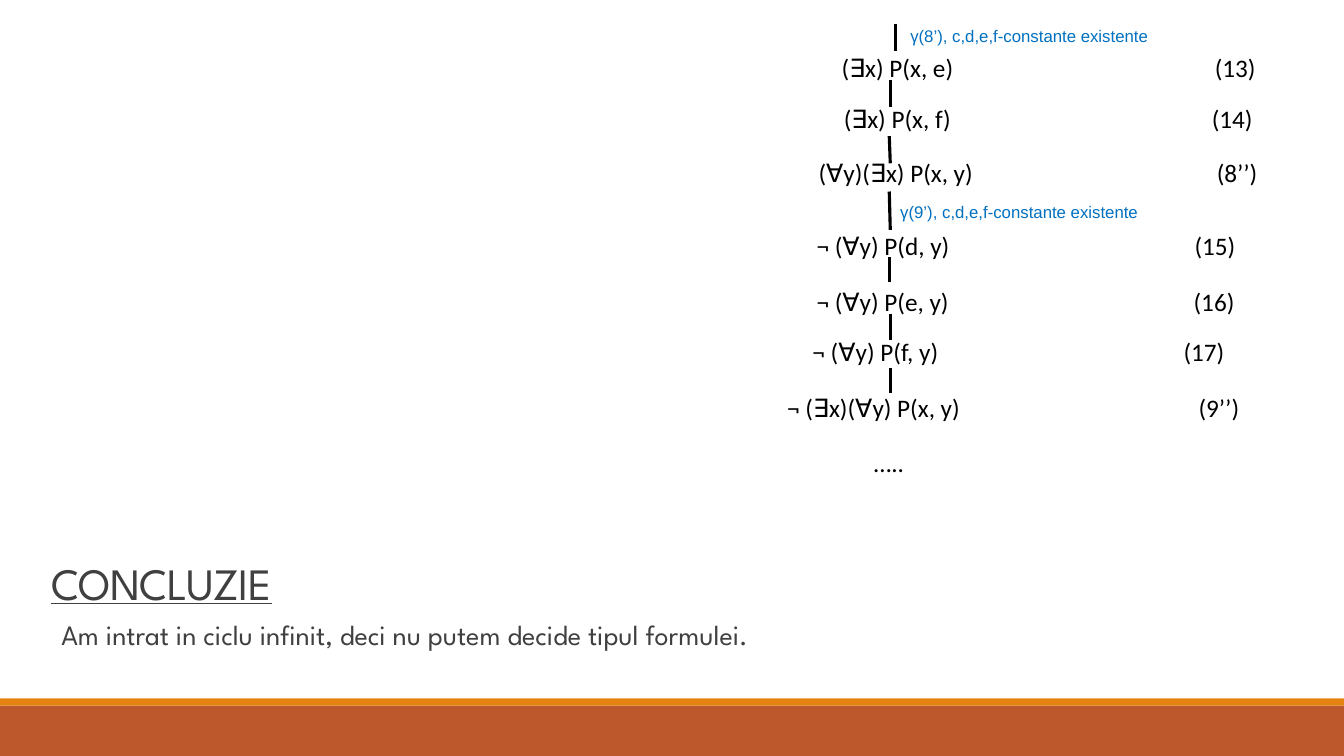
from lxml import etree
from pptx import Presentation
from pptx.dml.color import RGBColor
from pptx.enum import shapes, text
from pptx.oxml.ns import qn
from pptx.util import Inches, Pt

# Content: formula, label, box left, box top, label left
STEPS = [
    ("(∃x) P(x, e)", "(13)", 8.25, 0.47, 12.05),
    ("(∃x) P(x, f)", "(14)", 8.27, 0.98, 12.02),
    ("(∀y)(∃x) P(x, y)", "(8’’)", 8.02, 1.51, 12.07),
    ("¬ (∀y) P(d, y)", "(15)", 8, 2.24, 11.85),
    ("¬ (∀y) P(e, y)", "(16)", 8, 2.79, 11.84),
    ("¬ (∀y) P(f, y)", "(17)", 7.96, 3.29, 11.74),
    ("¬ (∃x)(∀y) P(x, y)", "(9’’)", 7.71, 3.84, 11.89),
]
RULES = [
    ("γ(8’), c,d,e,f-constante existente", 8.93, 0.21),
    ("γ(9’), c,d,e,f-constante existente", 8.83, 1.95),
]
# Branches: x1, y1, x2, y2
BRANCHES = [
    (8.88, 0.24, 8.88, 0.51),
    (8.83, 0.79, 8.83, 1.06),
    (8.82, 1.35, 8.83, 1.62),
    (8.82, 1.9, 8.83, 2.28),
    (8.82, 2.55, 8.82, 2.8),
    (8.83, 3.12, 8.83, 3.37),
    (8.83, 3.65, 8.83, 3.9),
]
BANDS = [(7, 0.5, "BD582C"), (6.93, 0.07, "E48312")]
TITLE = "CONCLUZIE"
CONCLUSION = "Am intrat in ciclu infinit, deci nu putem decide tipul formulei."
INSET = 0.1
RIGHT_EDGE = 12.95


def rgb(code):
    return RGBColor.from_string(code)


def add_text(s, words, box, size, font, color, wrap=True):
    tf = s.shapes.add_textbox(*map(Inches, box)).text_frame
    tf.word_wrap = wrap
    p = tf.paragraphs[0]
    p.text = words
    p.font.size, p.font.name = Pt(size), font
    p.font.color.rgb = rgb(color)
    return p


def add_tab(p, position):
    tabs = etree.SubElement(p._p.get_or_add_pPr(), qn("a:tabLst"))
    etree.SubElement(tabs, qn("a:tab"), pos=str(Inches(position)), algn="l")
    # The tab list must stand before the default run properties
    p._p.pPr.insert(0, tabs)


def add_branch(s, ends):
    line = s.shapes.add_connector(shapes.MSO_CONNECTOR.STRAIGHT, *map(Inches, ends))
    line.line.color.rgb = rgb("000000")
    line.line.width = Pt(2.25)
    etree.SubElement(line._element.spPr, qn("a:effectLst"))


prs = Presentation()
prs.slide_width, prs.slide_height = Inches(13.33), Inches(7.5)
s = prs.slides.add_slide(prs.slide_layouts[6])

# Footer bands
for top, height, color in BANDS:
    sp = s.shapes.add_shape(shapes.MSO_SHAPE.RECTANGLE, 0, Inches(top),
                            prs.slide_width, Inches(height))
    sp.shadow.inherit = False
    sp.fill.solid()
    sp.fill.fore_color.rgb = rgb(color)
    sp.line.fill.background()

# Derivation tree
for ends in BRANCHES:
    add_branch(s, ends)
for formula, label, left, top, label_left in STEPS:
    p = add_text(s, f"{formula}\t{label}", (left, top, RIGHT_EDGE - left, 0.4),
                 18, "Calibri", "000000")
    add_tab(p, label_left - left - INSET)
for rule, left, top in RULES:
    add_text(s, rule, (left, top, 2.58, 0.3), 12, "Arial", "0070C0", wrap=False)
add_text(s, "…..", (8.57, 4.39, 0.5, 0.4), 18, "Calibri", "000000", wrap=False)

# Conclusion
p = add_text(s, TITLE, (0.41, 5.49, 11, 0.61), 32, "League Spartan", "404040")
p.line_spacing = 0.85
p.font.underline = True
p.runs[0].font._element.set("spc", "-50")
s.shapes[-1].text_frame.vertical_anchor = text.MSO_ANCHOR.BOTTOM

p = add_text(s, CONCLUSION, (0.51, 6.11, 10.9, 0.68), 20, "League Spartan", "404040")
p.line_spacing = 0.9
p.space_before, p.space_after = Pt(12), Pt(2)

prs.save("out.pptx")
